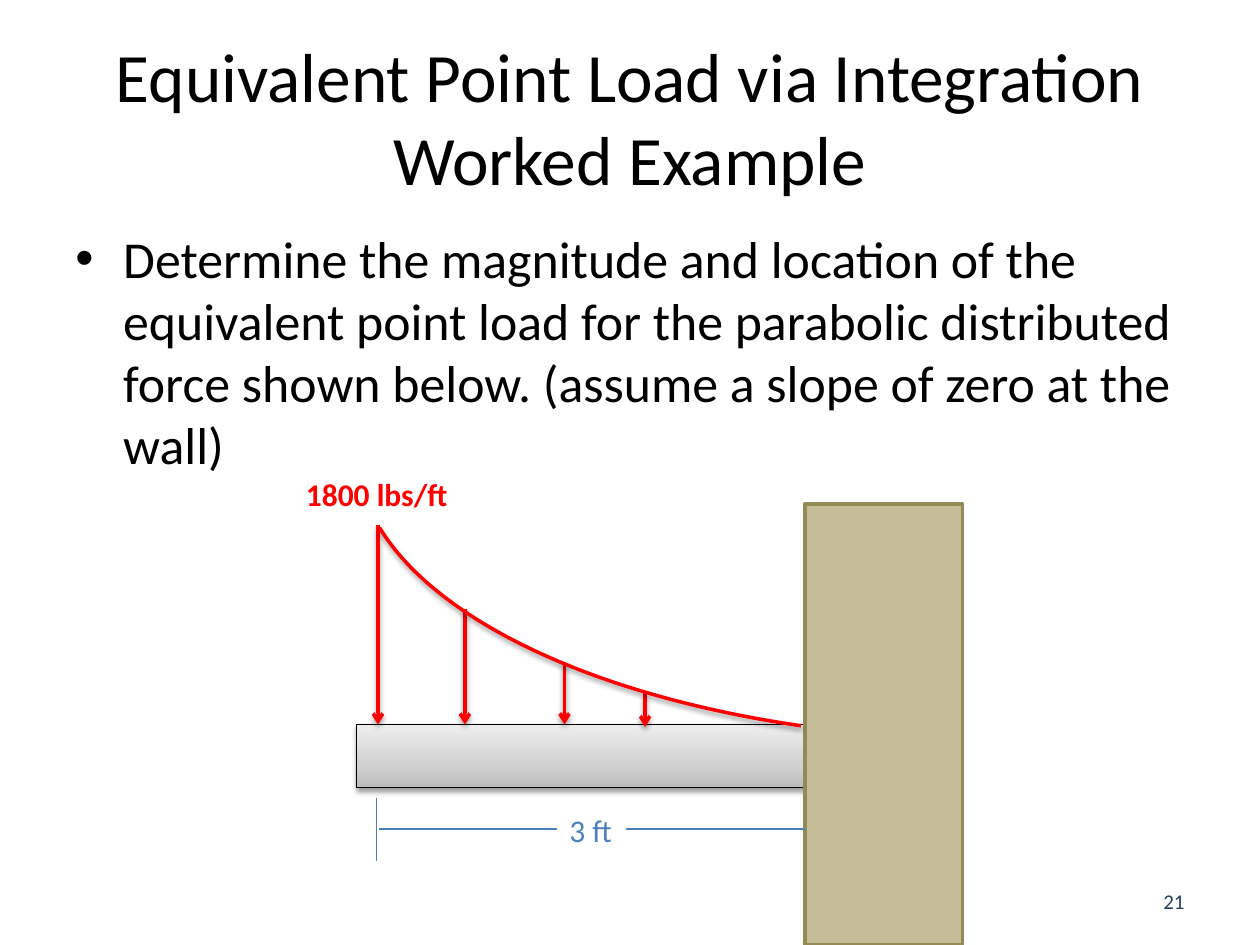
from pptx import Presentation
from pptx.dml.color import RGBColor
from pptx.enum.shapes import MSO_CONNECTOR, MSO_SHAPE
from pptx.enum.text import MSO_ANCHOR, PP_ALIGN
from pptx.oxml.ns import qn
from pptx.util import Inches, Pt
from lxml.etree import SubElement

BLACK = RGBColor(0x00, 0x00, 0x00)
WHITE = RGBColor(0xFF, 0xFF, 0xFF)
RED = RGBColor(0xFF, 0x00, 0x00)
NAVY = RGBColor(0x25, 0x40, 0x61)
BLUE = RGBColor(0x4F, 0x81, 0xBD)
DIMENSION_BLUE = RGBColor(0x4B, 0x7E, 0xBC)
TAN = RGBColor(0xC4, 0xBD, 0x97)
DARK_TAN = RGBColor(0x94, 0x8A, 0x54)
BEAM_GREYS = [(0, RGBColor(0xBD, 0xBD, 0xBD)), (35, RGBColor(0xD1, 0xD1, 0xD1)),
              (100, RGBColor(0xEE, 0xEE, 0xEE))]


def add_text(slide, box, text, size=18, color=BLACK, bold=False, align=PP_ALIGN.LEFT,
             anchor=MSO_ANCHOR.TOP, wrap=True, fill=None, bullet=False):
    textbox = slide.shapes.add_textbox(*map(Inches, box))
    if fill is not None:
        textbox.fill.solid()
        textbox.fill.fore_color.rgb = fill
    frame = textbox.text_frame
    frame.word_wrap = wrap
    frame.vertical_anchor = anchor
    paragraph = frame.paragraphs[0]
    paragraph.text = text
    paragraph.alignment = align
    if bullet:
        props = paragraph._p.get_or_add_pPr()
        props.set("marL", str(Inches(0.38)))
        props.set("indent", str(Inches(-0.38)))
        SubElement(props, qn("a:buFont"), typeface="Arial")
        SubElement(props, qn("a:buChar"), char="•")
    font = paragraph.runs[0].font
    font.name, font.size, font.bold = "Calibri", Pt(size), bold
    font.color.rgb = color


def set_effects(shape, shadow):
    """Give the shape a soft drop shadow, or none at all."""
    effects = SubElement(shape._element.spPr, qn("a:effectLst"))
    if shadow:
        outer = SubElement(effects, qn("a:outerShdw"), blurRad=str(Pt(3.1)),
                           dist=str(Pt(1.6)), dir="5400000", rotWithShape="0")
        tint = SubElement(outer, qn("a:srgbClr"), val=str(BLACK))
        SubElement(tint, qn("a:alpha"), val="38000")


def set_line(shape, color, width):
    shape.line.color.rgb = color
    shape.line.width = Pt(width)


def add_line(slide, start, end, color, width, arrow=False, shadow=False):
    line = slide.shapes.add_connector(MSO_CONNECTOR.STRAIGHT, *map(Inches, start + end))
    set_line(line, color, width)
    if arrow:
        SubElement(line.line._get_or_add_ln(), qn("a:tailEnd"), type="arrow")
    set_effects(line, shadow)


def add_beam(slide, box):
    beam = slide.shapes.add_shape(MSO_SHAPE.RECTANGLE, *map(Inches, box))
    beam.fill.gradient()
    beam.fill.gradient_angle = 90
    stops = beam._element.spPr.find(qn("a:gradFill")).find(qn("a:gsLst"))
    for stop in list(stops):
        stops.remove(stop)
    for percent, grey in BEAM_GREYS:
        stop = SubElement(stops, qn("a:gs"), pos=str(percent * 1000))
        SubElement(stop, qn("a:srgbClr"), val=str(grey))
    set_line(beam, BLACK, 0.75)
    set_effects(beam, shadow=True)


def add_wall(slide, box):
    wall = slide.shapes.add_shape(MSO_SHAPE.RECTANGLE, *map(Inches, box))
    wall.fill.solid()
    wall.fill.fore_color.rgb = TAN
    set_line(wall, DARK_TAN, 2)
    set_effects(wall, shadow=False)


def add_load(slide, left, top, beam_top):
    # Arrows: offset from the free end, and drop below the peak
    for offset, drop, overlap in [(0, 0, 0), (2.12, 1.33, 0.02), (1.48, 1.08, 0),
                                  (0.69, 0.66, 0)]:
        x = left + offset
        add_line(slide, (x, top + drop), (x, beam_top + overlap), RED, 2,
                 arrow=True, shadow=True)
    # Load curve: the lower left part of an ellipse
    curve = slide.shapes.add_shape(
        MSO_SHAPE.ARC, *map(Inches, (left - 0.17, top - 2.88, 10.17, 4.58)))
    for index, degrees in enumerate((125.54, 172.93)):
        curve.adjustments[index] = degrees * 0.6  # 60000ths of a degree over 100000
    curve.fill.background()
    set_line(curve, RED, 2)
    set_effects(curve, shadow=True)
    add_text(slide, (left - 0.67, top - 0.45, 1.34, 0.4), "1800 lbs/ft",
             color=RED, bold=True, wrap=False)


def add_dimension(slide, left, right, y):
    add_line(slide, (left, y - 0.25), (left, y + 0.25), DIMENSION_BLUE, 0.75)
    add_line(slide, (left + 0.02, y), (right, y), DIMENSION_BLUE, 0.75)
    add_text(slide, ((left + right) / 2 - 0.27, y - 0.19, 0.55, 0.4), "3 ft",
             color=BLUE, wrap=False, fill=WHITE)


def add_diagram(slide, left, top, width, height):
    beam_top, wall_left = top + 1.75, left + width - 1.25
    add_beam(slide, (left, beam_top, 4.29, 0.5))
    add_wall(slide, (wall_left, top, 1.25, height))
    add_load(slide, left + 0.17, top + 0.17, beam_top)
    add_dimension(slide, left + 0.16, wall_left, top + 2.58)


def main():
    deck = Presentation()
    deck.slide_width, deck.slide_height = Inches(10), Inches(7.5)
    slide = deck.slides.add_slide(deck.slide_layouts[6])
    # Heading, problem statement and page number
    add_text(slide, (0.5, 0.3, 9, 1.25),
             "Equivalent Point Load via Integration Worked Example",
             size=39.6, align=PP_ALIGN.CENTER, anchor=MSO_ANCHOR.MIDDLE)
    add_text(slide, (0.5, 1.75, 9, 1.83),
             "Determine the magnitude and location of the equivalent point load for the "
             "parabolic distributed force shown below. (assume a slope of zero at the wall)",
             size=29.6, bullet=True)
    add_text(slide, (7.17, 6.95, 2.33, 0.4), "21", size=12, color=NAVY,
             align=PP_ALIGN.RIGHT, anchor=MSO_ANCHOR.MIDDLE)
    # Cantilever beam with its load
    add_diagram(slide, 2.83, 4, 4.81, 3.5)
    deck.save("out.pptx")


if __name__ == "__main__":
    main()
